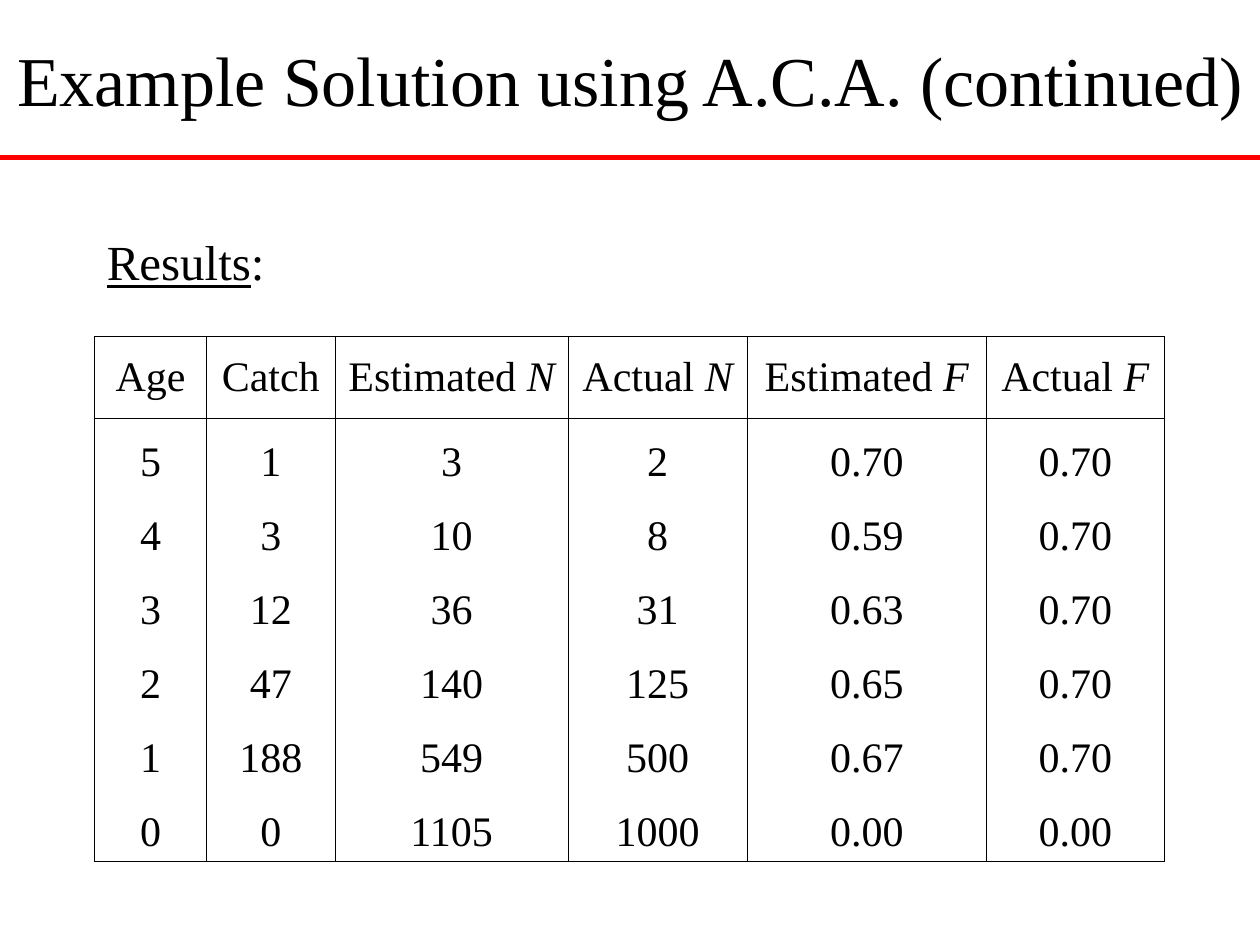
from lxml import etree
from pptx import Presentation
from pptx.dml.color import RGBColor
from pptx.enum.shapes import MSO_CONNECTOR
from pptx.enum.text import MSO_ANCHOR, PP_ALIGN
from pptx.oxml.ns import qn
from pptx.util import Inches, Pt

# Content: each piece of text is a list of (words, style) spans
TITLE = [("Example Solution using A.C.A. (continued)", "")]
SUBTITLE = [("Results", "underline"), (":", "")]
HEADER = [
    [("Age", "")],
    [("Catch", "")],
    [("Estimated ", ""), ("N", "italic")],
    [("Actual ", ""), ("N", "italic")],
    [("Estimated ", ""), ("F", "italic")],
    [("Actual ", ""), ("F", "italic")],
]
RESULTS = [
    ("5", "1", "3", "2", "0.70", "0.70"),
    ("4", "3", "10", "8", "0.59", "0.70"),
    ("3", "12", "36", "31", "0.63", "0.70"),
    ("2", "47", "140", "125", "0.65", "0.70"),
    ("1", "188", "549", "500", "0.67", "0.70"),
    ("0", "0", "1105", "1000", "0.00", "0.00"),
]

# Style and grid, in inches
FONT = "Times New Roman"
BLACK = RGBColor(0, 0, 0)
RED = RGBColor(0xFF, 0, 0)
LEFT, CENTER = PP_ALIGN.LEFT, PP_ALIGN.CENTER
TOP, MIDDLE, BOTTOM = MSO_ANCHOR.TOP, MSO_ANCHOR.MIDDLE, MSO_ANCHOR.BOTTOM
WIDTH, HEIGHT = 10, 7.5
BAND = HEIGHT / 6
MARGIN = 0.75
TABLE_TOP = 2.67
COLUMN_WIDTHS = [0.89, 1.02, 1.85, 1.42, 1.9, 1.41]
HEADER_HEIGHT, TABLE_HEIGHT = 0.65, 4.17
ROW_HEIGHT = (TABLE_HEIGHT - HEADER_HEIGHT) / len(RESULTS)
BORDER = Pt(0.45)


def write(para, spans, size, align):
    para.alignment = align
    for words, style in spans:
        span = para.add_run()
        span.text = words
        span.font.name = FONT
        span.font.size = Pt(size)
        span.font.color.rgb = BLACK
        if style:
            setattr(span.font, style, True)


def add_text(page, left, top, width, height, spans, size, align, anchor, top_inset=0.05):
    box = page.shapes.add_textbox(Inches(left), Inches(top), Inches(width), Inches(height))
    frame = box.text_frame
    frame.word_wrap = True
    frame.vertical_anchor = anchor
    frame.margin_top = Inches(top_inset)
    write(frame.paragraphs[0], spans, size, align)


def set_borders(cell, visible):
    properties = cell._tc.get_or_add_tcPr()
    for position, side in enumerate("LRTB"):
        line = etree.Element(qn(f"a:ln{side}"), w=str(int(BORDER)))
        if side in visible:
            fill = etree.SubElement(line, qn("a:solidFill"))
            etree.SubElement(fill, qn("a:srgbClr"), val=str(BLACK))
        else:
            etree.SubElement(line, qn("a:noFill"))
        properties.insert(position, line)


def add_results(page):
    rows = [HEADER] + [[[(value, "")] for value in row] for row in RESULTS]
    frame = page.shapes.add_table(
        len(rows), len(HEADER), Inches(MARGIN), Inches(TABLE_TOP),
        Inches(WIDTH - 2 * MARGIN), Inches(TABLE_HEIGHT))
    table = frame.table
    table.first_row = table.horz_banding = False
    for column, width in zip(table.columns, COLUMN_WIDTHS):
        column.width = Inches(width)
    for index, row in enumerate(rows):
        is_header = index == 0
        table.rows[index].height = Inches(HEADER_HEIGHT if is_header else ROW_HEIGHT)
        # Sides everywhere; horizontal rules only around the header and at the foot
        sides = "LR"
        if index <= 1:
            sides += "T"
        if is_header or index == len(rows) - 1:
            sides += "B"
        for column, spans in enumerate(row):
            cell = table.cell(index, column)
            cell.fill.background()
            cell.vertical_anchor = MIDDLE if is_header else BOTTOM
            write(cell.text_frame.paragraphs[0], spans, 24, CENTER)
            set_borders(cell, sides)


def main():
    deck = Presentation()
    deck.slide_width, deck.slide_height = Inches(WIDTH), Inches(HEIGHT)
    page = deck.slides.add_slide(deck.slide_layouts[6])

    # Title band with its rule
    add_text(page, 0, 0, WIDTH, BAND, TITLE, 40, CENTER, MIDDLE)
    rule = page.shapes.add_connector(
        MSO_CONNECTOR.STRAIGHT, 0, Inches(BAND), Inches(WIDTH), Inches(BAND))
    rule.line.color.rgb = RED
    rule.line.width = Pt(3)
    etree.SubElement(rule._element.spPr, qn("a:effectLst"))

    # Results
    add_results(page)
    add_text(page, MARGIN, 1.75, 1.5, 0.57, SUBTITLE, 28, LEFT, TOP, top_inset=0.09)

    deck.save("out.pptx")


if __name__ == "__main__":
    main()
